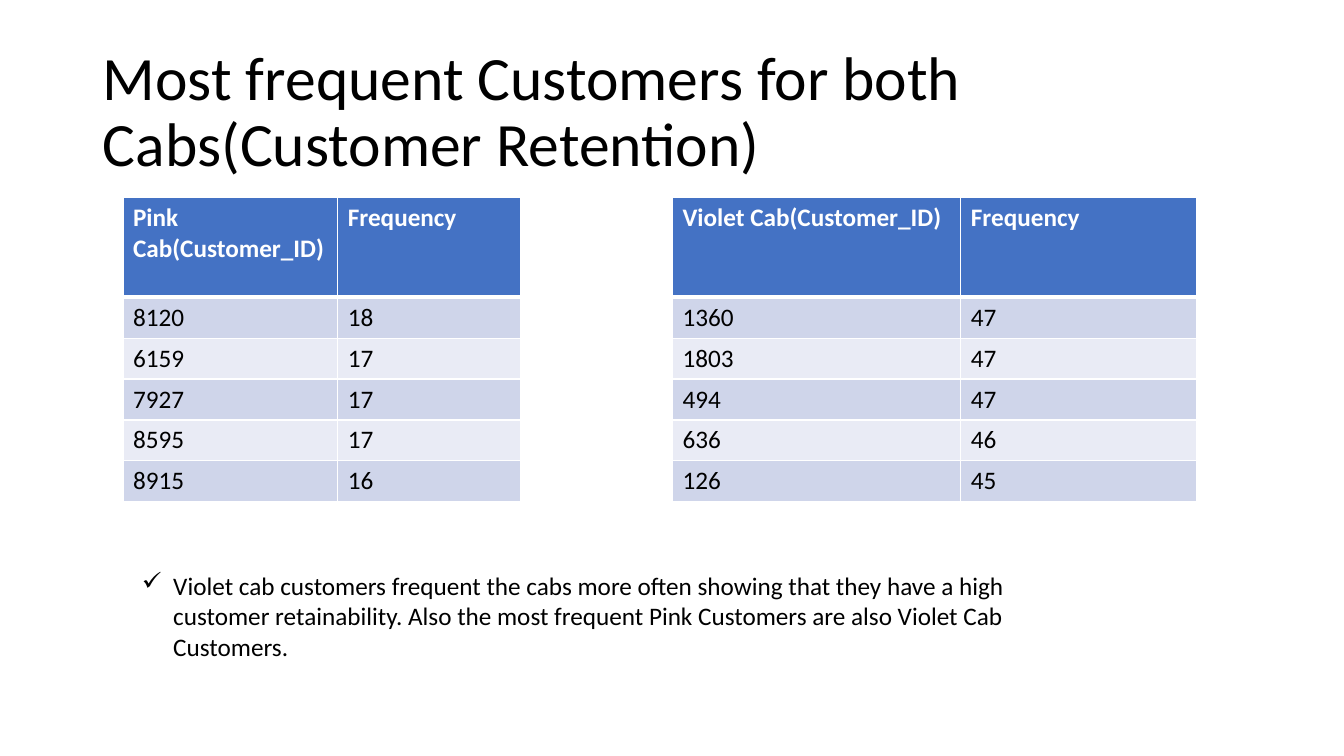
from lxml import etree
from pptx import Presentation
from pptx.dml.color import RGBColor
from pptx.enum.text import MSO_ANCHOR, MSO_AUTO_SIZE, PP_ALIGN
from pptx.oxml.ns import qn
from pptx.util import Inches, Pt

LEFT = PP_ALIGN.LEFT
MIDDLE = MSO_ANCHOR.MIDDLE
NO_FIT = MSO_AUTO_SIZE.NONE
GROW = MSO_AUTO_SIZE.SHAPE_TO_FIT_TEXT

BLACK = RGBColor(0x00, 0x00, 0x00)
WHITE = RGBColor(0xFF, 0xFF, 0xFF)
HEADER_BLUE = RGBColor(0x44, 0x72, 0xC4)
BANDS = (RGBColor(0xCF, 0xD5, 0xEA), RGBColor(0xE9, 0xEB, 0xF5))

TITLE_ONLY = 5
TABLE_TOP = 1.96
HEADER_HEIGHT, ROW_HEIGHT = 0.99, 0.4
THIN, THICK = 1, 3

PINK_ROWS = [
    ("Pink Cab(Customer_ID)", "Frequency"),
    ("8120", "18"),
    ("6159", "17"),
    ("7927", "17"),
    ("8595", "17"),
    ("8915", "16"),
]
VIOLET_ROWS = [
    ("Violet Cab(Customer_ID)", "Frequency"),
    ("1360", "47"),
    ("1803", "47"),
    ("494", "47"),
    ("636", "46"),
    ("126", "45"),
]


def write_text(frame, text, size=18, color=BLACK, bold=False, spacing=None):
    """Fill the first paragraph of a text frame and return it."""
    para = frame.paragraphs[0]
    para.alignment = LEFT
    para.line_spacing = spacing
    span = para.add_run()
    span.text = text
    span.font.name = "Calibri"
    span.font.size = Pt(size)
    span.font.bold = bold
    span.font.color.rgb = color
    return para


def set_borders(cell, top=THIN, bottom=THIN):
    """Draw white cell borders, with widths in points."""
    widths = {"a:lnL": THIN, "a:lnR": THIN, "a:lnT": top, "a:lnB": bottom}
    properties = cell._tc.get_or_add_tcPr()
    for position, (tag, width) in enumerate(widths.items()):
        line = etree.Element(qn(tag), w=str(Pt(width)))
        fill = etree.SubElement(line, qn("a:solidFill"))
        etree.SubElement(fill, qn("a:srgbClr"), val=str(WHITE))
        properties.insert(position, line)


class CabSlide:
    def __init__(self, deck):
        self.page = deck.slides.add_slide(deck.slide_layouts[TITLE_ONLY])

    def title(self, text, left, top, width, height):
        box = self.page.shapes.title
        box.left, box.top = Inches(left), Inches(top)
        box.width, box.height = Inches(width), Inches(height)
        frame = box.text_frame
        frame.word_wrap = True
        frame.auto_size = NO_FIT
        frame.vertical_anchor = MIDDLE
        write_text(frame, text, size=44, spacing=0.9)

    def table(self, rows, left, column_widths):
        height = HEADER_HEIGHT + ROW_HEIGHT * (len(rows) - 1)
        table = self.page.shapes.add_table(
            len(rows), len(column_widths), Inches(left), Inches(TABLE_TOP),
            Inches(sum(column_widths)), Inches(height)).table
        for column, width in zip(table.columns, column_widths):
            column.width = Inches(width)
        for r, values in enumerate(rows):
            header = r == 0
            table.rows[r].height = Inches(HEADER_HEIGHT if header else ROW_HEIGHT)
            for c, value in enumerate(values):
                cell = table.cell(r, c)
                cell.fill.solid()
                cell.fill.fore_color.rgb = HEADER_BLUE if header else BANDS[(r - 1) % 2]
                set_borders(cell, top=THICK if r == 1 else THIN,
                            bottom=THICK if header else THIN)
                write_text(cell.text_frame, value, bold=header,
                           color=WHITE if header else BLACK)

    def check_item(self, text, left, top, width, height, indent=0.31):
        box = self.page.shapes.add_textbox(
            Inches(left), Inches(top), Inches(width), Inches(height))
        frame = box.text_frame
        frame.word_wrap = True
        frame.auto_size = GROW
        properties = write_text(frame, text)._p.get_or_add_pPr()
        properties.set("marL", str(Inches(indent)))
        properties.set("indent", str(-Inches(indent)))
        etree.SubElement(properties, qn("a:buChar"), char="✓")


def main():
    deck = Presentation()
    deck.slide_width, deck.slide_height = Inches(13.33), Inches(7.5)
    slide = CabSlide(deck)
    slide.title("Most frequent Customers for both Cabs(Customer Retention)",
                0.92, 0.4, 11.5, 1.45)
    slide.table(PINK_ROWS, 1.22, (2.13, 1.81))
    slide.table(VIOLET_ROWS, 6.67, (2.86, 2.34))
    slide.check_item(
        "Violet cab customers frequent the cabs more often showing that they "
        "have a high customer retainability. Also the most frequent Pink "
        "Customers are also Violet Cab Customers.",
        1.31, 5.61, 9.39, 1.01)
    deck.save("out.pptx")


if __name__ == "__main__":
    main()
